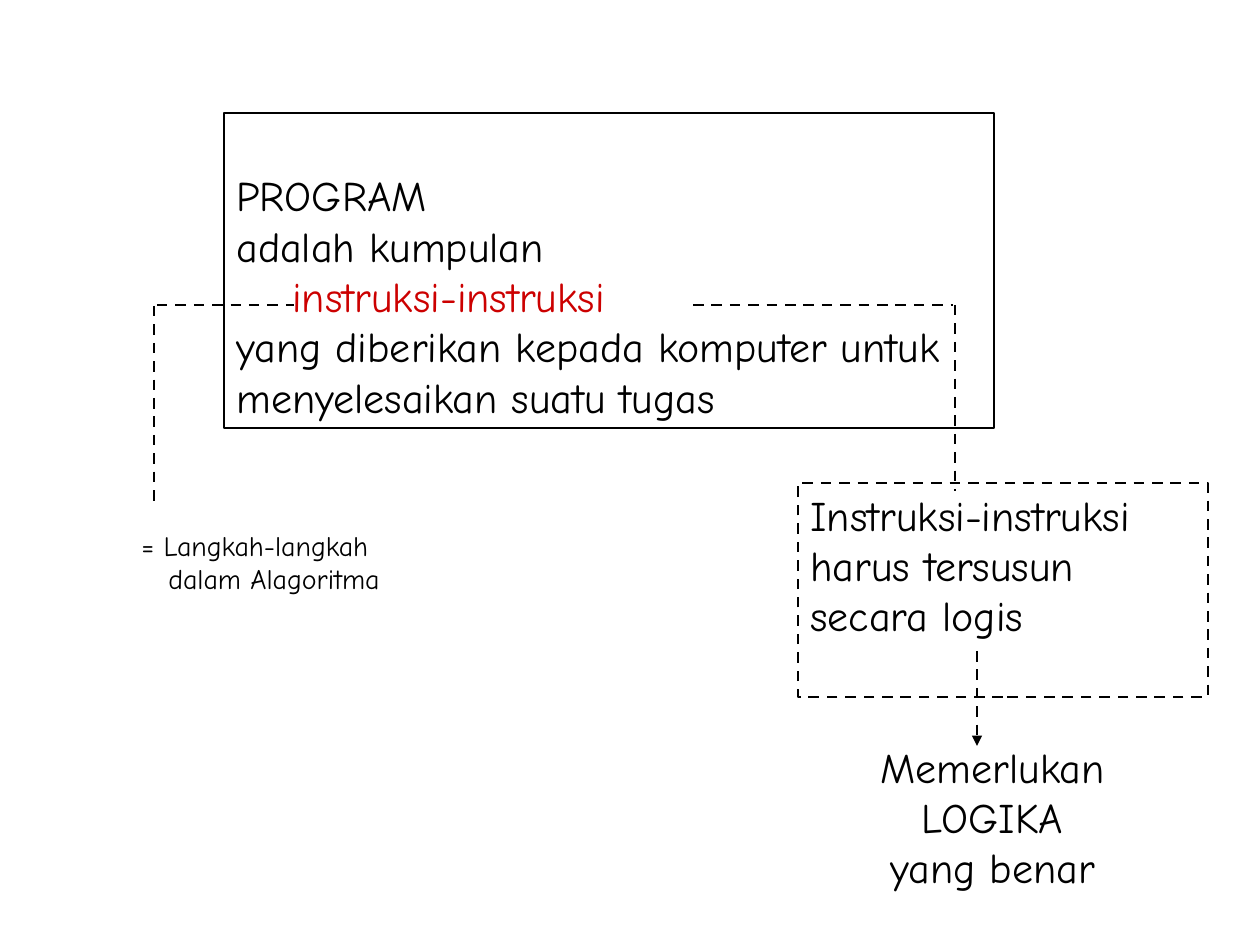
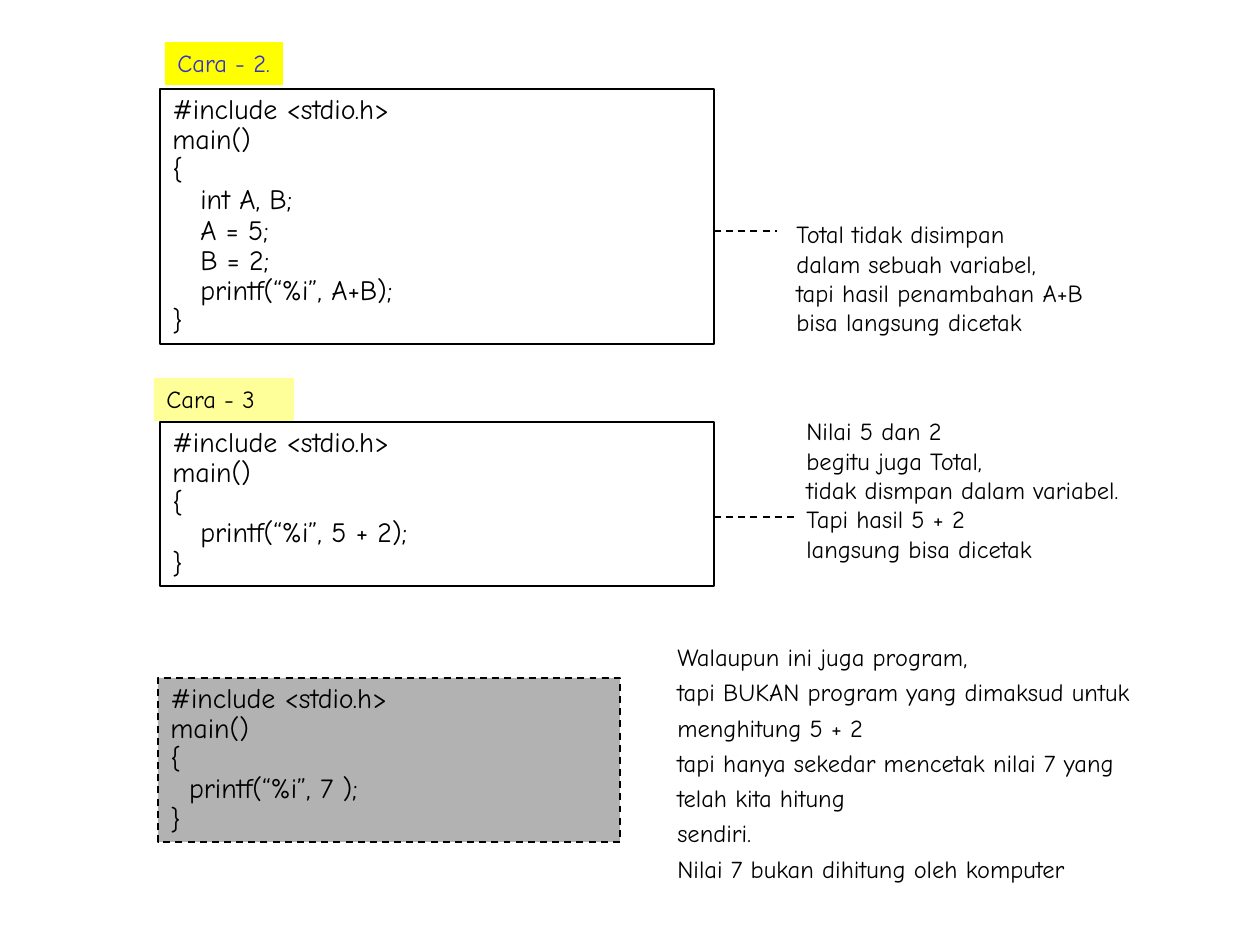
from lxml import etree
from pptx import Presentation
from pptx.dml.color import RGBColor
from pptx.enum.dml import MSO_LINE
from pptx.enum.shapes import MSO_CONNECTOR, MSO_SHAPE
from pptx.enum.text import MSO_ANCHOR, PP_ALIGN
from pptx.oxml.ns import qn
from pptx.util import Pt

EMU_PER_PX = 914400 / 126
FONT = "Comic Neue"
BLACK = RGBColor(0x00, 0x00, 0x00)
RED = RGBColor(0xCC, 0x00, 0x00)
BLUE = RGBColor(0x33, 0x33, 0xCC)
YELLOW = RGBColor(0xFF, 0xFF, 0x00)
PALE_YELLOW = RGBColor(0xFF, 0xFF, 0x99)
GREY = RGBColor(0xB2, 0xB2, 0xB2)
DASH = MSO_LINE.DASH
STRAIGHT = MSO_CONNECTOR.STRAIGHT
RECTANGLE = MSO_SHAPE.RECTANGLE
TOP, BOTTOM = MSO_ANCHOR.TOP, MSO_ANCHOR.BOTTOM
LEFT, CENTER = PP_ALIGN.LEFT, PP_ALIGN.CENTER
CODE_FORMAT = {"size": 16, "spacing": 0.9}
NOTE_FORMAT = {"size": 14}


def px(length):
    return round(length * EMU_PER_PX)


def set_attributes(target, values):
    for name, value in values.items():
        setattr(target, name, value)


def write_text(shape, lines, size=24, color=BLACK, spacing=None, align=LEFT,
               anchor=TOP, wrap=True, indents=None, line_colors=None):
    frame = shape.text_frame
    set_attributes(frame, {"word_wrap": wrap, "vertical_anchor": anchor})
    for index, line in enumerate(lines):
        paragraph = frame.add_paragraph() if index else frame.paragraphs[0]
        indent = (indents or {}).get(index)
        if indent:
            paragraph._p.get_or_add_pPr().set("marL", str(px(indent)))
        set_attributes(paragraph, {"alignment": align, "line_spacing": spacing})
        run = paragraph.add_run()
        run.text = line
        set_attributes(run.font, {"name": FONT, "size": Pt(size)})
        run.font.color.rgb = (line_colors or {}).get(index, color)


def style_line(line, weight, dash):
    line.color.rgb = BLACK
    set_attributes(line, {"width": Pt(weight), "dash_style": dash})


def add_box(slide, bounds, lines, fill=None, weight=None, dash=None, **text_format):
    shape = slide.shapes.add_shape(RECTANGLE, *map(px, bounds))
    shape.shadow.inherit = False
    if fill is None:
        shape.fill.background()
    else:
        shape.fill.solid()
        shape.fill.fore_color.rgb = fill
    if weight is None:
        shape.line.fill.background()
    else:
        style_line(shape.line, weight, dash)
    write_text(shape, lines, **text_format)


def add_note(slide, bounds, lines, **text_format):
    write_text(slide.shapes.add_textbox(*map(px, bounds)), lines, **text_format)


def add_dashed_line(slide, points, weight, arrow=False):
    connector = slide.shapes.add_connector(STRAIGHT, *map(px, points))
    style_line(connector.line, weight, DASH)
    properties = connector._element.spPr
    if arrow:
        etree.SubElement(properties.find(qn("a:ln")), qn("a:tailEnd"), type="triangle")
    etree.SubElement(properties, qn("a:effectLst"))


def build_program_definition(slide):
    for points in [(157, 305, 294, 305), (154, 306, 154, 504),
                   (693, 305, 953, 305), (955, 305, 955, 491)]:
        add_dashed_line(slide, points, 1.5)
    add_note(slide, (129, 522, 265, 81), ["= Langkah-langkah", "dalam Alagoritma"],
             size=16, wrap=False, indents={1: 27})
    add_box(slide, (798, 483, 410, 214),
            ["Instruksi-instruksi", "harus tersusun", "secara logis"],
            weight=1.5, dash=DASH)
    add_dashed_line(slide, (977, 651, 977, 746), 1.5, arrow=True)
    add_note(slide, (868, 735, 249, 164), ["Memerlukan", "LOGIKA", "yang benar"],
             align=CENTER, wrap=False)
    add_box(slide, (224, 113, 770, 315),
            ["PROGRAM", "adalah kumpulan", "instruksi-instruksi",
             "yang diberikan kepada komputer untuk menyelesaikan suatu tugas"],
            weight=1.5, anchor=BOTTOM, indents={2: 56}, line_colors={2: RED})


def build_code_variants(slide):
    def code_lines(*body):
        return ["#include <stdio.h>", "main()", "{", *body, "}"]

    add_box(slide, (160, 89, 554, 255),
            code_lines("   int A, B;", "   A = 5;", "   B = 2;", "   printf(“%i”, A+B);"),
            weight=1, **CODE_FORMAT)
    add_dashed_line(slide, (714, 231, 777, 231), 1)
    add_note(slide, (784, 213, 350, 131),
             ["Total tidak disimpan", "dalam sebuah variabel,",
              "tapi hasil penambahan A+B bisa langsung dicetak"], **NOTE_FORMAT)
    add_box(slide, (165, 42, 118, 43), ["Cara - 2."], fill=YELLOW,
            color=BLUE, wrap=False, **NOTE_FORMAT)

    add_box(slide, (160, 422, 554, 164), code_lines("   printf(“%i”, 5 + 2);"),
            weight=0.75, **CODE_FORMAT)
    add_dashed_line(slide, (714, 517, 798, 517), 1)
    add_note(slide, (794, 410, 368, 160),
             ["Nilai 5 dan 2", "begitu juga Total,", "tidak dismpan dalam variabel.",
              "Tapi hasil 5 + 2", "langsung bisa dicetak"], **NOTE_FORMAT)
    add_box(slide, (154, 378, 140, 43), ["Cara - 3"], fill=PALE_YELLOW, **NOTE_FORMAT)

    add_box(slide, (158, 678, 462, 164), code_lines("  printf(“%i”, 7 );"),
            fill=GREY, weight=1, dash=DASH, **CODE_FORMAT)
    add_note(slide, (665, 630, 490, 260),
             ["Walaupun ini juga program,",
              "tapi BUKAN program yang dimaksud untuk menghitung 5 + 2",
              "tapi hanya sekedar mencetak nilai 7 yang telah kita hitung",
              "sendiri.", "Nilai 7 bukan dihitung oleh komputer"],
             spacing=1.2, **NOTE_FORMAT)


def main():
    presentation = Presentation()
    set_attributes(presentation, {"slide_width": px(1260), "slide_height": px(945)})
    blank_layout = presentation.slide_layouts[6]
    for build_slide in (build_program_definition, build_code_variants):
        build_slide(presentation.slides.add_slide(blank_layout))
    presentation.save("out.pptx")


if __name__ == "__main__":
    main()
